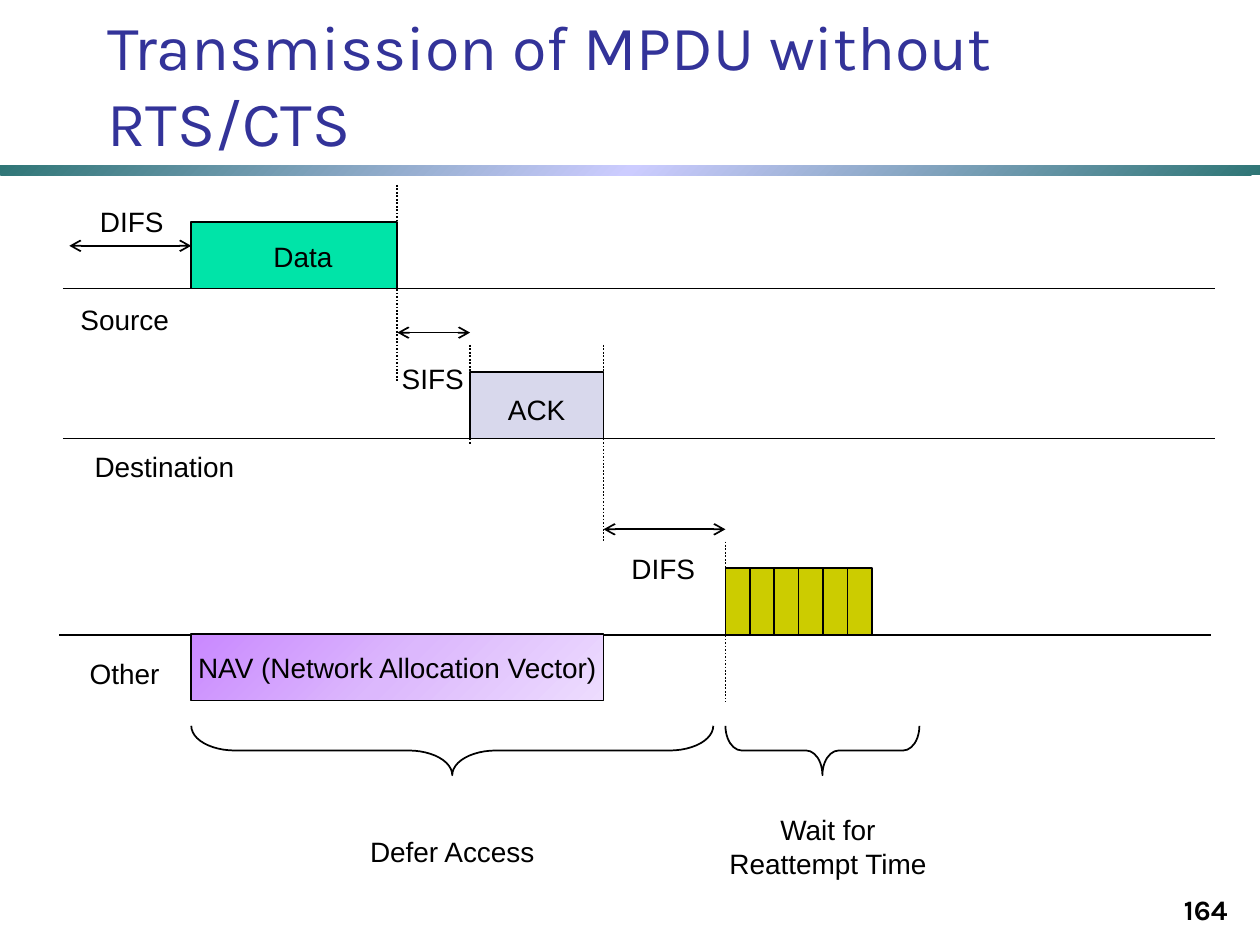
from copy import deepcopy
from dataclasses import dataclass

from lxml.etree import SubElement
from pptx import Presentation
from pptx.dml.color import RGBColor
from pptx.enum.dml import MSO_LINE
from pptx.enum.shapes import MSO_CONNECTOR, MSO_SHAPE
from pptx.enum.text import MSO_ANCHOR, MSO_AUTO_SIZE, PP_ALIGN
from pptx.oxml.ns import qn
from pptx.util import Inches, Pt

COLORS = {
    "ink": "000000", "title": "333399", "data": "00E4A8", "ack": "D8D8EC", "slot": "CCCC00",
    "bar_edge": "2F7676", "bar_middle": "CCCCFF",
    "nav_start": "C988FF", "nav_middle": "DCB8FD", "nav_end": "EDDCFE",
}
WIDTH, HEIGHT = 10, 7.5
COLUMN, ROW = 0.1936, 0.53
DATA_START, DATA_END, ACK_START, ACK_END, SLOTS_START = 5, 13.45, 16.43, 21.9, 26.9
SLOT_COUNT = 6


@dataclass
class Box:
    """A timing grid whose columns are backoff slots and whose rows are bar heights."""
    top: float
    left: float = 0.55

    def point(self, column, row):
        """Return the slide position of a grid point."""
        return Inches(self.left + column * COLUMN), Inches(self.top + row * ROW)

    def area(self, column, row, columns, rows):
        """Return the position and size of a grid area."""
        return *self.point(column, row), Inches(columns * COLUMN), Inches(rows * ROW)


def rgb(name):
    """Look up a named colour."""
    return RGBColor.from_string(COLORS[name])


def write(paragraph, text, size=16, font="Arial", color="ink", align=PP_ALIGN.CENTER, bold=False):
    """Add one formatted run to an aligned paragraph."""
    paragraph.alignment = align
    run = paragraph.add_run()
    run.text = text
    run.font.size, run.font.name, run.font.bold = Pt(size), font, bold
    run.font.color.rgb = rgb(color)


def fill_gradient(shape, names):
    """Fill a shape with three evenly spaced diagonal gradient stops."""
    shape.fill.gradient()
    shape.fill.gradient_angle = 315
    stop_list = shape._element.spPr.find(qn("a:gradFill")).find(qn("a:gsLst"))
    stop_list.append(deepcopy(stop_list[-1]))
    for index, (stop, name) in enumerate(zip(shape.fill.gradient_stops, names)):
        stop.position = index / 2
        stop.color.rgb = rgb(name)


def add_outlined(slide, kind, area, fill=None):
    """Add a preset shape with a thin dark outline."""
    shape = slide.shapes.add_shape(kind, *area)
    shape.shadow.inherit = False
    if fill:
        shape.fill.solid()
        shape.fill.fore_color.rgb = rgb(fill)
    else:
        shape.fill.background()
    shape.line.color.rgb = rgb("ink")
    shape.line.width = Pt(1)
    return shape


def add_bar(slide, box, start, columns, fill=None, row=0):
    """Add a frame bar one row high."""
    return add_outlined(slide, MSO_SHAPE.RECTANGLE, box.area(start, row, columns, 1), fill)


def add_line(slide, box, start, end, dotted=False, arrows=False):
    """Draw a straight line between two grid points."""
    line = slide.shapes.add_connector(MSO_CONNECTOR.STRAIGHT, *box.point(*start), *box.point(*end))
    line.line.color.rgb = rgb("ink")
    line.line.width = Pt(1)
    if dotted:
        line.line.dash_style = MSO_LINE.ROUND_DOT
    if arrows:
        for tag in ("a:headEnd", "a:tailEnd"):
            SubElement(line.line._get_or_add_ln(), qn(tag), type="arrow")
    SubElement(line._element.spPr, qn("a:effectLst"))


def add_marker(slide, box, column, top, bottom):
    """Draw a dotted vertical time marker."""
    add_line(slide, box, (column, top), (column, bottom), dotted=True)


def add_interval(slide, box, start, end, row):
    """Draw a double-headed arrow over a time interval."""
    add_line(slide, box, (start, row), (end, row), arrows=True)


def add_label(slide, box, text, column, row, columns=4, rows=0.7, wrap=False):
    """Add a label centred on a grid point."""
    area = box.area(column - columns / 2, row - rows / 2, columns, rows)
    frame = slide.shapes.add_textbox(*area).text_frame
    frame.word_wrap = wrap
    frame.vertical_anchor = MSO_ANCHOR.MIDDLE
    write(frame.paragraphs[0], text)


def add_header(slide):
    """Place the title and the gradient rule beneath it."""
    rule = slide.shapes.add_shape(
        MSO_SHAPE.RECTANGLE, 0, Inches(1.31), Inches(WIDTH), Inches(0.08))
    rule.shadow.inherit = False
    rule.line.fill.background()
    fill_gradient(rule, ("bar_edge", "bar_middle", "bar_edge"))
    title = slide.shapes.title
    title.left, title.top = Inches(0.75), Inches(0.36)
    title.width, title.height = Inches(9.25), Inches(0.95)
    title.text_frame.word_wrap = True
    title.text_frame.auto_size = MSO_AUTO_SIZE.NONE
    title.text_frame.vertical_anchor = MSO_ANCHOR.BOTTOM
    write(title.text_frame.paragraphs[0], "Transmission of MPDU without RTS/CTS",
          36, "Karla", "title", PP_ALIGN.LEFT)


def add_source(slide, box):
    """Place the source lane with its data frame."""
    add_line(slide, box, (-0.26, 1), (46.95, 1))
    add_bar(slide, box, DATA_START, DATA_END - DATA_START, "data")
    add_interval(slide, box, 0, DATA_START, 0.36)
    add_interval(slide, box, DATA_END, ACK_START, 1.66)
    add_marker(slide, box, DATA_END, -0.55, 2.4)
    add_label(slide, box, "Data", 9.58, 0.52)
    add_label(slide, box, "DIFS", 2.56, 0)
    add_label(slide, box, "SIFS", 14.9, 2.35)
    add_label(slide, box, "Source", 2.27, 1.46, 5.4)


def add_destination(slide, box):
    """Place the destination lane with its acknowledgement."""
    add_line(slide, box, (-0.26, 1), (46.95, 1))
    add_bar(slide, box, ACK_START, ACK_END - ACK_START, "ack")
    add_interval(slide, box, ACK_END, SLOTS_START, 2.36)
    add_marker(slide, box, ACK_START, -0.4, 1.08)
    add_marker(slide, box, ACK_END, -0.4, 2.55)
    add_label(slide, box, "ACK", 19.16, 0.56)
    add_label(slide, box, "DIFS", 24.35, 2.95)
    add_label(slide, box, "Destination", 3.9, 1.41, 7.4)


def add_other(slide, box):
    """Place the other stations' lane with backoff slots and the NAV bar."""
    add_marker(slide, box, SLOTS_START, -0.4, 2)
    add_line(slide, box, (-0.41, 1), (46.8, 1))
    for slot in range(SLOT_COUNT):
        add_bar(slide, box, SLOTS_START + slot, 1, "slot")
    vector = add_bar(slide, box, DATA_START, ACK_END - DATA_START, row=0.98)
    fill_gradient(vector, ("nav_start", "nav_middle", "nav_end"))
    vector.text_frame.word_wrap = False
    vector.text_frame.vertical_anchor = MSO_ANCHOR.MIDDLE
    write(vector.text_frame.paragraphs[0], "NAV (Network Allocation Vector)")
    add_label(slide, box, "Other", 2.27, 1.58, 4.4)


def add_phases(slide, box):
    """Place the braces and the phase names below the lanes."""
    depth = 0.74 * ROW / COLUMN
    for start, end, curve in ((DATA_START, 26.4, 0.884), (SLOTS_START, 34.85, 0.329)):
        length = end - start
        area = box.area((start + end - depth) / 2, 0.37 - length * COLUMN / ROW / 2,
                        depth, length * COLUMN / ROW)
        brace = add_outlined(slide, MSO_SHAPE.LEFT_BRACE, area)
        brace.adjustments[0] = curve
        brace.rotation = 270
    add_label(slide, box, "Defer Access", 15.7, 1.88, 10.43, wrap=True)
    add_label(slide, box, "Wait for Reattempt Time", 31.1, 1.8, 10.43, 1.19, wrap=True)


def add_number(slide):
    """Place the slide number at the bottom right."""
    frame = slide.shapes.add_textbox(Inches(7.76), Inches(6.9), Inches(2.08), Inches(0.5)).text_frame
    frame.word_wrap = True
    frame.vertical_anchor = MSO_ANCHOR.BOTTOM
    write(frame.paragraphs[0], "164", font="Karla", align=PP_ALIGN.RIGHT, bold=True)


def main():
    """Build and save the presentation."""
    presentation = Presentation()
    presentation.slide_width, presentation.slide_height = Inches(WIDTH), Inches(HEIGHT)
    slide = presentation.slides.add_slide(presentation.slide_layouts[5])
    add_header(slide)
    add_source(slide, Box(1.76))
    add_destination(slide, Box(2.95))
    add_other(slide, Box(4.51))
    add_phases(slide, Box(5.76))
    add_number(slide)
    presentation.save("out.pptx")


if __name__ == "__main__":
    main()
